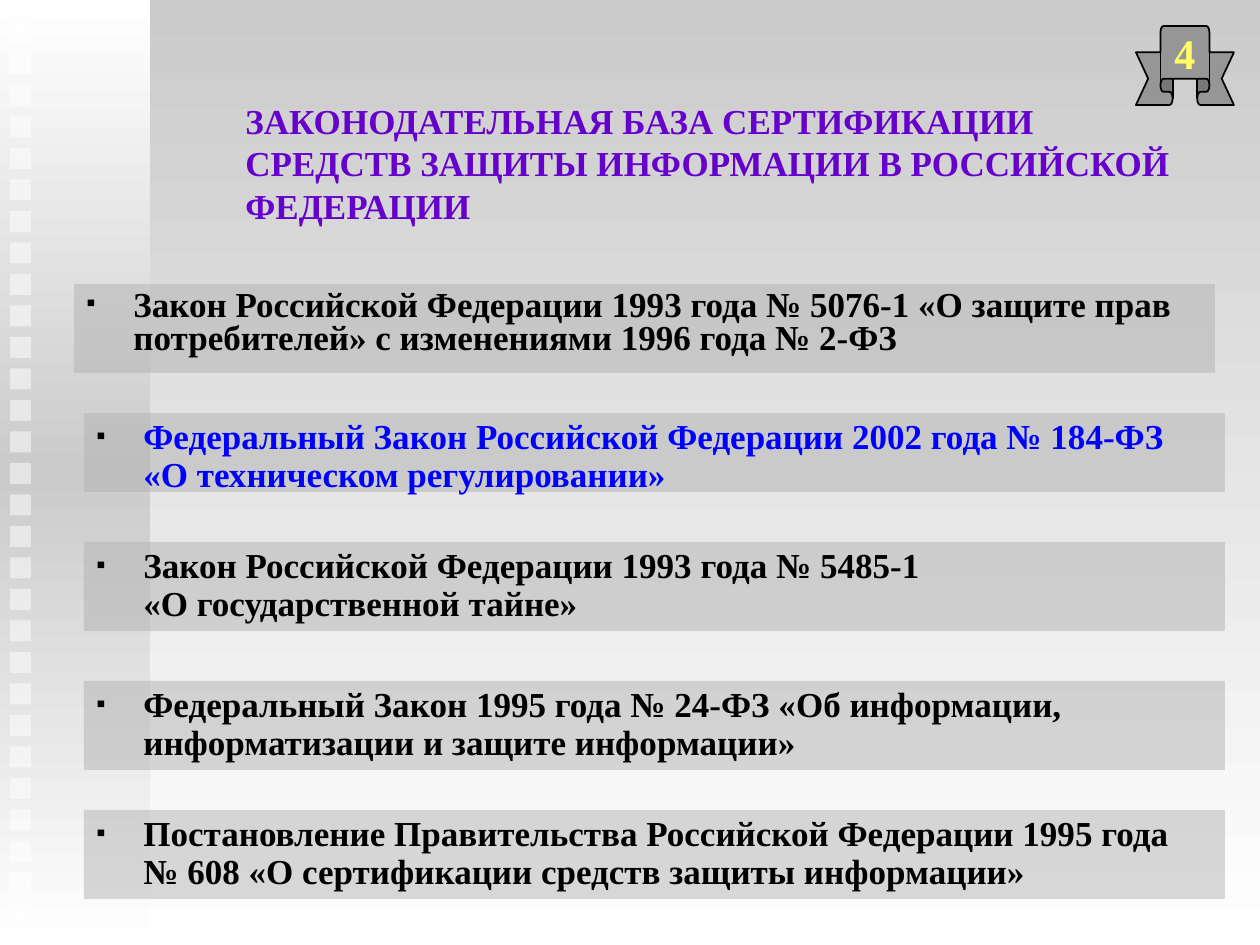
import dataclasses

import lxml.etree
import pptx
import pptx.dml.color
import pptx.enum.shapes
import pptx.enum.text
import pptx.oxml
import pptx.oxml.ns
import pptx.util

SCALE = 914400 / 126
SHAPES = pptx.enum.shapes.MSO_SHAPE
ALIGN = pptx.enum.text.PP_ALIGN
ANCHOR = pptx.enum.text.MSO_ANCHOR
qn = pptx.oxml.ns.qn


@dataclasses.dataclass(frozen=True)
class Theme:
    font: str = "Times New Roman"
    text_size: int = 20
    number_size: int = 24
    white: str = "FFFFFF"
    grey: str = "CBCBCB"
    panel: str = "B2B2B2"
    ribbon: str = "969696"
    black: str = "000000"
    title: str = "6600CC"
    accent: str = "0000FF"
    number: str = "FFFF66"


THEME = Theme()

# Top, left, height, line spacing, colour and wording of each statute
STATUTES = [
    (284, 74, 89, 0.8, THEME.black,
     "Закон Российской Федерации 1993 года № 5076-1 «О защите прав "
     "потребителей» с изменениями 1996 года № 2-ФЗ"),
    (413, 84, 79, 0.9, THEME.accent,
     "Федеральный Закон Российской Федерации 2002 года № 184-ФЗ\n"
     "«О техническом регулировании»"),
    (542, 84, 89, 0.9, THEME.black,
     "Закон Российской Федерации 1993 года № 5485-1\n"
     "«О государственной тайне»"),
    (681, 84, 89, 0.9, THEME.black,
     "Федеральный Закон 1995 года № 24-ФЗ «Об информации, "
     "информатизации и защите информации»"),
    (810, 84, 89, 0.9, THEME.black,
     "Постановление Правительства Российской Федерации 1995 года "
     "№ 608 «О сертификации средств защиты информации»"),
]


def px(length):
    return pptx.util.Emu(round(length * SCALE))


def rgb(colour):
    return pptx.dml.color.RGBColor.from_string(colour)


def set_all(target, values):
    for name, value in values.items():
        setattr(target, name, value)


def paint_gradient(fill, element, colours):
    """Fill from top to bottom with evenly spaced colours."""
    fill.gradient()
    fill.gradient_angle = 270
    stops = next(element.iter(qn("a:gsLst")))
    for stop in list(stops):
        stops.remove(stop)
    for index, colour in enumerate(colours):
        position = str(100000 * index // (len(colours) - 1))
        stop = lxml.etree.SubElement(stops, qn("a:gs"), pos=position)
        lxml.etree.SubElement(stop, qn("a:srgbClr"), val=colour)


def add_shape(page, box, kind=SHAPES.RECTANGLE):
    shape = page.shapes.add_shape(kind, *map(px, box))
    shape.shadow.inherit = False
    shape.line.fill.background()
    return shape


def paint(shape, colour, opacity=100):
    shape.fill.solid()
    shape.fill.fore_color.rgb = rgb(colour)
    if opacity < 100:
        tint = next(shape._element.spPr.iter(qn("a:srgbClr")))
        lxml.etree.SubElement(tint, qn("a:alpha"), val=str(opacity * 1000))


def write(shape, text, colour, size, frame_format, para_format):
    set_all(shape.text_frame, frame_format)
    para = shape.text_frame.paragraphs[0]
    para.text = text
    set_all(para, para_format)
    for span in para.runs:
        set_all(span.font, {"name": THEME.font, "size": pptx.util.Pt(size), "bold": True})
        span.font.color.rgb = rgb(colour)
    return para


def add_bullet(para, indent):
    properties = para._p.get_or_add_pPr()
    properties.set("marL", str(px(indent)))
    properties.set("indent", str(-px(indent)))
    colour = lxml.etree.SubElement(properties, qn("a:buClr"))
    lxml.etree.SubElement(colour, qn("a:srgbClr"), val=THEME.black)
    lxml.etree.SubElement(properties, qn("a:buSzPct"), val="75000")
    lxml.etree.SubElement(properties, qn("a:buFont"), typeface=THEME.font)
    lxml.etree.SubElement(properties, qn("a:buChar"), char="▪")


def add_side_rail(page, box):
    """A shaded strip with a column of equally spaced squares."""
    left, top, width, height = box
    rail = add_shape(page, box)
    paint_gradient(rail.fill, rail._element, [THEME.white, THEME.grey, THEME.white])
    side, pitch, margin = 21, 31.5, 22
    count = int((height - margin - side) // pitch) + 1
    for index in range(count):
        square = add_shape(page, (left + 10, top + margin + index * pitch, side, side))
        paint(square, THEME.white, 50)


def add_title(page, box):
    title = page.shapes.add_textbox(*map(px, box))
    text = ("ЗАКОНОДАТЕЛЬНАЯ БАЗА СЕРТИФИКАЦИИ\n"
            "СРЕДСТВ ЗАЩИТЫ ИНФОРМАЦИИ В РОССИЙСКОЙ ФЕДЕРАЦИИ")
    write(title, text, THEME.title, THEME.text_size,
          {"word_wrap": True, "vertical_anchor": ANCHOR.MIDDLE},
          {"alignment": ALIGN.LEFT})


def add_number_ribbon(page, box, number):
    ribbon = add_shape(page, box, SHAPES.UP_RIBBON)
    ribbon.adjustments[0] = 0.33333
    ribbon.adjustments[1] = 0.5
    paint(ribbon, THEME.ribbon)
    ribbon.line.color.rgb = rgb(THEME.black)
    ribbon.line.width = pptx.util.Pt(1)
    write(ribbon, number, THEME.number, THEME.number_size,
          {"word_wrap": False, "vertical_anchor": ANCHOR.MIDDLE},
          {"alignment": ALIGN.CENTER})


def add_statute(page, box, text, colour, spacing):
    panel = add_shape(page, box)
    paint(panel, THEME.panel, 50)
    para = write(panel, text, colour, THEME.text_size,
                 {"word_wrap": True, "vertical_anchor": ANCHOR.TOP},
                 {"alignment": ALIGN.LEFT})
    add_bullet(para, 47)
    para.line_spacing = spacing


def add_statutes_slide(deck):
    page = deck.slides.add_slide(deck.slide_layouts[6])
    paint_gradient(page.background.fill, page.element, [THEME.grey, THEME.white])
    add_side_rail(page, (0, 0, 150, 945))
    add_title(page, (233, 84, 995, 158))
    add_number_ribbon(page, (1136, 26, 98, 79), "4")
    for top, left, height, spacing, colour, text in STATUTES:
        add_statute(page, (left, top, 1141, height), text, colour, spacing)


def main():
    deck = pptx.Presentation()
    set_all(deck, {"slide_width": px(1260), "slide_height": px(945)})
    add_statutes_slide(deck)
    deck.save("out.pptx")


if __name__ == "__main__":
    main()
